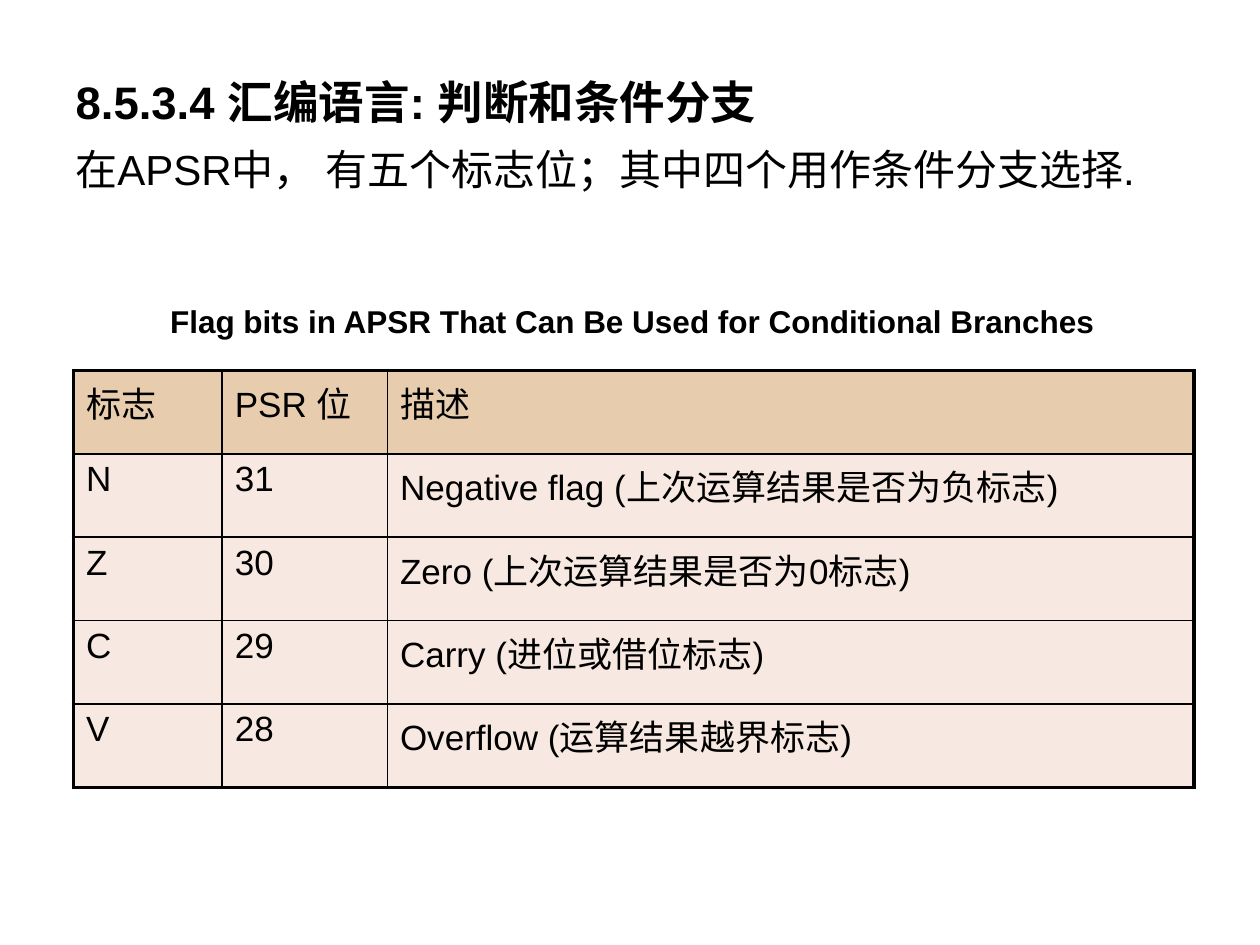
from lxml import etree
from pptx import Presentation
from pptx.dml.color import RGBColor
from pptx.enum import text
from pptx.oxml.ns import qn
from pptx.util import Cm, Pt

HEADING = "8.5.3.4 汇编语言: 判断和条件分支"
INTRO = "在APSR中， 有五个标志位；其中四个用作条件分支选择."
CAPTION = "Flag bits in APSR That Can Be Used for Conditional Branches"
FLAGS = [
    ("标志", "PSR 位", "描述"),
    ("N", "31", "Negative flag (上次运算结果是否为负标志)"),
    ("Z", "30", "Zero (上次运算结果是否为0标志)"),
    ("C", "29", "Carry (进位或借位标志)"),
    ("V", "28", "Overflow (运算结果越界标志)"),
]
COLORS = {"ink": "000000", "header": "D09A5E", "body": "F1D5C5"}
COLUMN_WIDTHS = [3, 3.33, 16.26]
ROW_HEIGHT = 1.68
OUTER, INNER = 2.25, 1
OPACITY = 50


def write(frame, content, size, bold=False, wrap=True):
    """Fill a text frame with one left-aligned paragraph."""
    frame.text = content
    frame.word_wrap = wrap
    paragraph = frame.paragraphs[0]
    paragraph.alignment = text.PP_ALIGN.LEFT
    font = paragraph.font
    font.name, font.size, font.bold = "Arial", Pt(size), bold
    font.color.rgb = RGBColor.from_string(COLORS["ink"])


def draw_border(cell, side, width):
    """Add one solid border to a table cell."""
    line = etree.SubElement(cell._tc.get_or_add_tcPr(), qn("a:ln" + side), w=str(Pt(width)))
    ink = etree.SubElement(line, qn("a:solidFill"))
    etree.SubElement(ink, qn("a:srgbClr"), val=COLORS["ink"])


def tint(cell, color):
    """Give a table cell a translucent fill."""
    cell.fill.solid()
    cell.fill.fore_color.rgb = RGBColor.from_string(color)
    shade = cell._tc.tcPr.find(qn("a:solidFill")).find(qn("a:srgbClr"))
    etree.SubElement(shade, qn("a:alpha"), val=str(OPACITY * 1000))


def add_flag_table(slide):
    """Build the table of flag bits."""
    last_row, last_column = len(FLAGS) - 1, len(COLUMN_WIDTHS) - 1
    table = slide.shapes.add_table(
        len(FLAGS), len(COLUMN_WIDTHS), Cm(1.48), Cm(7.47),
        Cm(sum(COLUMN_WIDTHS)), Cm(ROW_HEIGHT * len(FLAGS))).table
    table.first_row = table.horz_banding = False
    for column, width in zip(table.columns, COLUMN_WIDTHS):
        column.width = Cm(width)
    for r, flag in enumerate(FLAGS):
        table.rows[r].height = Cm(ROW_HEIGHT)
        for c, content in enumerate(flag):
            cell = table.cell(r, c)
            write(cell.text_frame, content, 20)
            edges = {"L": c == 0, "R": c == last_column, "T": r == 0, "B": r == last_row}
            for side, is_outer in edges.items():
                draw_border(cell, side, OUTER if is_outer else INNER)
            tint(cell, COLORS["body" if r else "header"])


def main():
    """Build and save the slide on conditional branch flags."""
    deck = Presentation()
    deck.slide_width, deck.slide_height = Cm(25.4), Cm(19.05)
    slide = deck.slides.add_slide(deck.slide_layouts[5])

    heading = slide.shapes.title
    heading.left, heading.top, heading.width, heading.height = Cm(1.27), Cm(1.32), Cm(22.86), Cm(1.45)
    write(heading.text_frame, HEADING, 26, bold=True)
    heading.text_frame.vertical_anchor = text.MSO_ANCHOR.MIDDLE

    intro = slide.shapes.add_textbox(Cm(1.27), Cm(2.77), Cm(22.86), Cm(3))
    write(intro.text_frame, INTRO, 24)

    caption = slide.shapes.add_textbox(Cm(3.18), Cm(5.97), Cm(19.18), Cm(1.02))
    write(caption.text_frame, CAPTION, 18, bold=True, wrap=False)

    add_flag_table(slide)
    deck.save("out.pptx")


if __name__ == "__main__":
    main()
